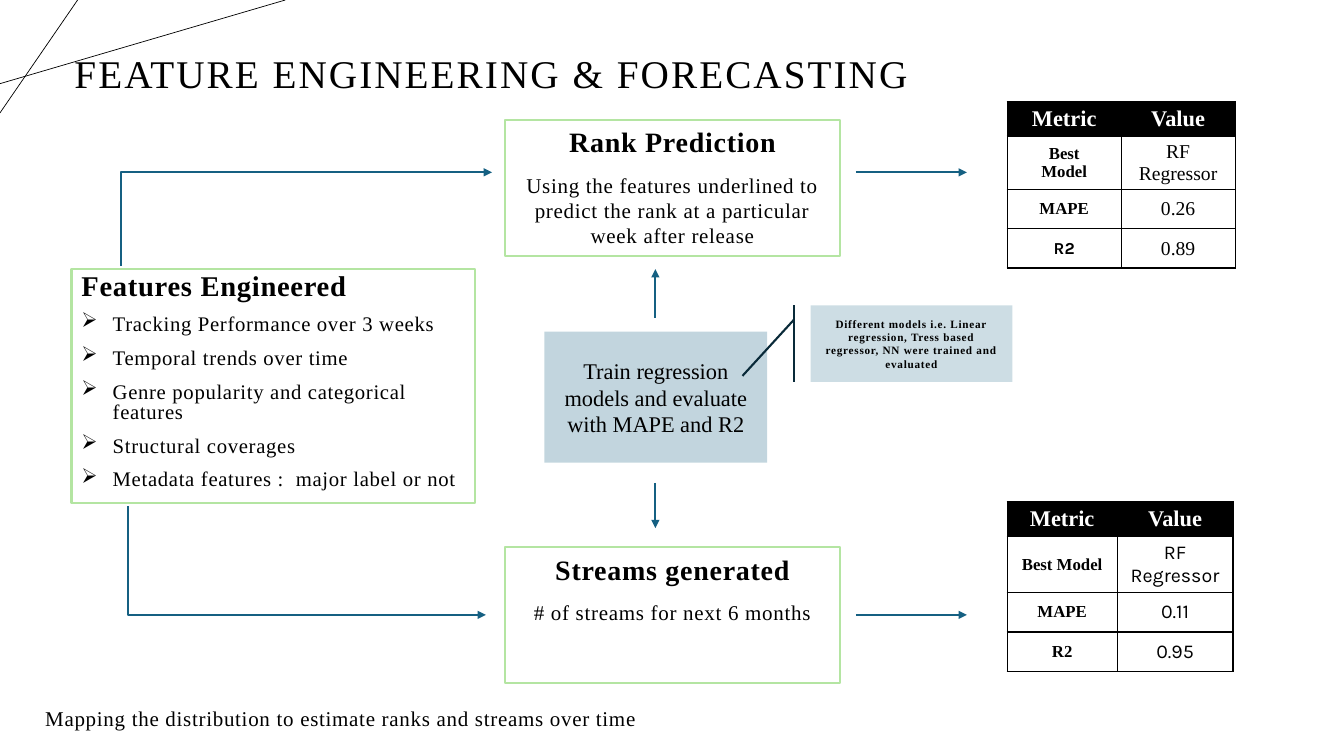
"""Build the feature engineering and forecasting flow slide."""
from lxml.etree import SubElement
from pptx import Presentation
from pptx.dml.color import RGBColor
from pptx.enum.shapes import MSO_CONNECTOR, MSO_SHAPE
from pptx.enum.text import MSO_ANCHOR, MSO_AUTO_SIZE, PP_ALIGN
from pptx.oxml.ns import qn
from pptx.util import Inches, Pt

BLACK = RGBColor(0, 0, 0)
WHITE = RGBColor(255, 255, 255)
GREEN = RGBColor(0xB4, 0xE5, 0xA2)
BLUE = RGBColor(0x15, 0x60, 0x82)
NAVY = RGBColor(0x09, 0x2A, 0x39)
SERIF, SANS = "Times New Roman", "Karla"
CELL = Inches(0.1)


def grid(*cells):
    """Turn counts of grid cells into lengths."""
    return [round(CELL * count) for count in cells]


def write(frame, lines, size, bold=False, color=BLACK, name=SERIF, spacing=0,
          **layout):
    """Add lines of text, then apply paragraph layout; return the paragraphs."""
    paras = []
    for line in lines:
        used = frame.paragraphs[0].runs
        para = frame.add_paragraph() if used else frame.paragraphs[0]
        span = para.add_run()
        span.text = line
        for key, value in {"size": Pt(size), "bold": bold, "name": name}.items():
            setattr(span.font, key, value)
        span.font.color.rgb = color
        if spacing:
            span.font._element.set("spc", str(spacing))
        for key, value in layout.items():
            setattr(para, key, value)
        paras.append(para)
    return paras


deck = Presentation()
deck.slide_width, deck.slide_height = Inches(13.33), Inches(7.5)
page = deck.slides.add_slide(deck.slide_layouts[5])
shapes = page.shapes
centred = {"alignment": PP_ALIGN.CENTER}
spaced = {"space_before": Pt(10), "spacing": 50}

title = shapes.title
title.left, title.top, title.width, title.height = grid(-9.9, 1.7, 117.3, 8.4)
title.text_frame.auto_size = MSO_AUTO_SIZE.NONE
title.text_frame.vertical_anchor = MSO_ANCHOR.BOTTOM
write(title.text_frame, ["FEATURE ENGINEERING & FORECASTING"], 28,
      spacing=150, line_spacing=0.9, **centred)

LINES = [
    (MSO_CONNECTOR.STRAIGHT, (0, 8.3, 28.3, 0), BLACK, 0.5),
    (MSO_CONNECTOR.STRAIGHT, (7.7, 0, 0, 11.2), BLACK, 0.5),
    (MSO_CONNECTOR.ELBOW, (12, 26.4, 48.8, 17.1), BLUE, 1.5),
    (MSO_CONNECTOR.ELBOW, (12.7, 50.2, 48.2, 61), BLUE, 1.5),
    (MSO_CONNECTOR.STRAIGHT, (65, 47.9, 65, 52.4), BLUE, 1.5),
    (MSO_CONNECTOR.STRAIGHT, (65, 31.5, 65, 26.7), BLUE, 1.5),
    (MSO_CONNECTOR.STRAIGHT, (84.9, 17.1, 95.9, 17.1), BLUE, 1.5),
    (MSO_CONNECTOR.STRAIGHT, (84.9, 61, 95.9, 61), BLUE, 1.5),
]
for kind, ends, color, weight in LINES:
    line = shapes.add_connector(kind, *grid(*ends))
    line.line.color.rgb = color
    line.line.width = Pt(weight)
    properties = line._element.spPr
    if kind == MSO_CONNECTOR.ELBOW:
        guides = properties.find(qn("a:prstGeom")).get_or_add_avLst()
        SubElement(guides, qn("a:gd"), name="adj1", fmla="val 0")
    if color == BLUE:
        SubElement(line.line._get_or_add_ln(), qn("a:tailEnd"), type="triangle")
    SubElement(properties, qn("a:effectLst"))

BOXES = {
    "features": (MSO_SHAPE.RECTANGLE, (7.1, 26.7, 40, 23.2), WHITE, None, GREEN),
    "rank": (MSO_SHAPE.RECTANGLE, (50.1, 11.9, 33.2, 13.5), WHITE, None, GREEN),
    "streams": (MSO_SHAPE.RECTANGLE, (50.1, 54.3, 33.2, 13.5), WHITE, None, GREEN),
    "train": (MSO_SHAPE.RECTANGLE, (54, 32.9, 22.1, 13), BLUE, 26, None),
    "models": (MSO_SHAPE.LINE_CALLOUT_1_ACCENT_BAR, (80.4, 30.3, 20, 7.6),
               BLUE, 21, NAVY),
}
frames = {}
for label, (kind, place, fill, opacity, outline) in BOXES.items():
    box = shapes.add_shape(kind, *grid(*place))
    box.shadow.inherit = False
    box.fill.solid()
    box.fill.fore_color.rgb = fill
    if opacity:
        tint = box._element.spPr.find(qn("a:solidFill")).find(qn("a:srgbClr"))
        SubElement(tint, qn("a:alpha"), val=str(opacity * 1000))
    if outline:
        box.line.color.rgb = outline
        box.line.width = Pt(1.5)
    else:
        box.line.fill.background()
    if kind == MSO_SHAPE.LINE_CALLOUT_1_ACCENT_BAR:
        for index, share in enumerate((0.188, -0.083, 0.921, -0.338)):
            box.adjustments[index] = share
    frames[label] = box.text_frame
    frames[label].word_wrap = True
    frames[label].vertical_anchor = MSO_ANCHOR.MIDDLE if opacity else MSO_ANCHOR.TOP

tight = {"line_spacing": 0.8, "alignment": PP_ALIGN.LEFT, **spaced}
write(frames["features"], ["Features Engineered"], 20.4, True, **tight)
bullets = write(frames["features"], [
    "Tracking Performance over 3 weeks",
    "Temporal trends over time",
    "Genre popularity and categorical features",
    "Structural coverages",
    "Metadata features :  major label or not",
], 14.8, **tight)
for para in bullets:
    indents = para._p.get_or_add_pPr()
    indents.set("marL", str(Inches(0.31)))
    indents.set("indent", str(-Inches(0.31)))
    SubElement(indents, qn("a:buChar"), char="➢")

FORECASTS = {
    "rank": ("Rank Prediction", "Using the features underlined to predict the "
             "rank at a particular week after release"),
    "streams": ("Streams generated", "# of streams for next 6 months"),
}
for label, (heading, detail) in FORECASTS.items():
    write(frames[label], [heading], 20, True, **spaced, **centred)
    write(frames[label], [detail], 15, **spaced, **centred)
write(frames["train"], ["Train regression models and evaluate with MAPE and R2"],
      16, **centred)
write(frames["models"], ["Different models i.e. Linear regression, Tress based "
                         "regressor, NN were trained and evaluated"],
      8, True, spacing=50, **centred)

TABLES = [
    (10.1, (11.3, 11.3), (3.4, 5.3, 3.9, 3.9), ["Best", "Model"],
     ("0.26", "0.89"), SANS, SERIF),
    (49.8, (10.9, 11.5), (3.4, 5.6, 3.9, 3.9), ["Best Model"],
     ("0.11", "0.95"), SERIF, SANS),
]
for top, widths, heights, best, scores, r2_font, value_font in TABLES:
    place = grid(99.9, top, sum(widths), sum(heights))
    table = shapes.add_table(4, 2, *place).table
    table.first_row = table.horz_banding = False
    for column, width in zip(table.columns, grid(*widths)):
        column.width = width
    for row, height in zip(table.rows, grid(*heights)):
        row.height = height
    rows = [(["Metric"], "Value"), (best, "RF Regressor"),
            (["MAPE"], scores[0]), (["R2"], scores[1])]
    for number, (metric, value) in enumerate(rows):
        for side, lines in enumerate((metric, [value])):
            cell = table.cell(number, side)
            cell.vertical_anchor = MSO_ANCHOR.MIDDLE
            cell.margin_top = cell.margin_bottom = Inches(0.03)
            borders = cell._tc.get_or_add_tcPr()
            for edge in ("a:lnL", "a:lnR", "a:lnT", "a:lnB"):
                border = SubElement(borders, qn(edge), w=str(Pt(1)))
                paint = SubElement(border, qn("a:solidFill"))
                SubElement(paint, qn("a:srgbClr"), val=str(BLACK))
            if number == 0:
                cell.fill.solid()
                cell.fill.fore_color.rgb = BLACK
                write(cell.text_frame, lines, 16, True, WHITE, **centred)
            else:
                cell.fill.background()
                metric_font = r2_font if number == 3 else SERIF
                write(cell.text_frame, lines, 14 if side else 12, not side,
                      name=value_font if side else metric_font, **centred)

caption = shapes.add_textbox(*grid(3.5, 69.5, 118.8, 5.5)).text_frame
caption.word_wrap = True
write(caption, ["Mapping the distribution to estimate ranks and streams over time"],
      15, **spaced)

deck.save("out.pptx")
